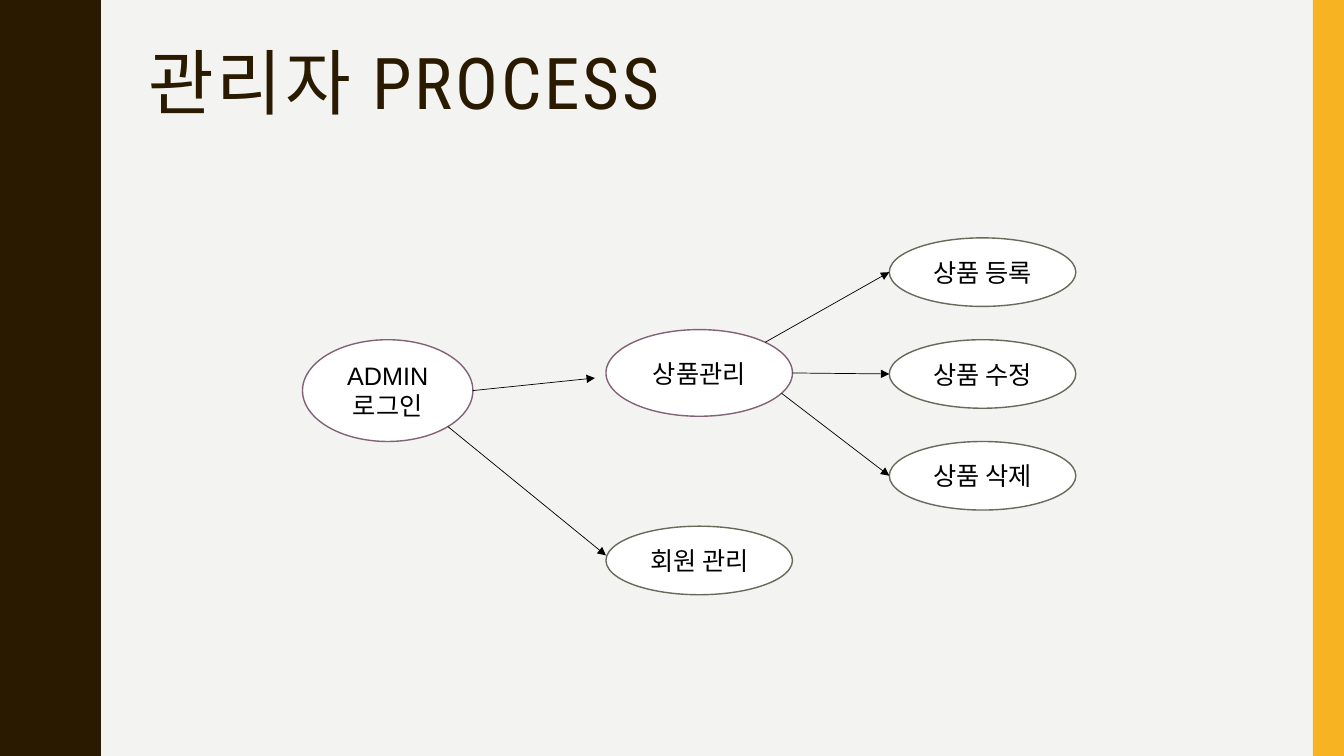
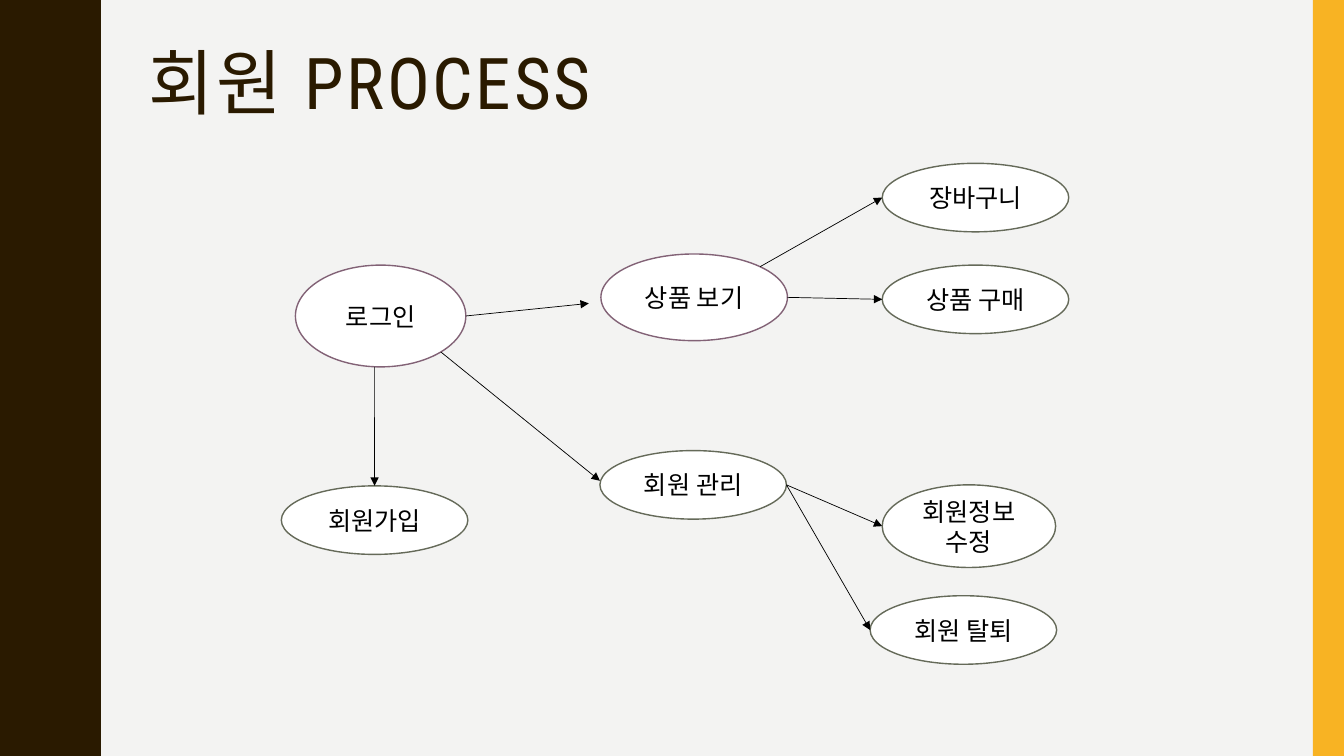
from math import cos, radians, sin

from lxml.etree import SubElement
from pptx import Presentation
from pptx.dml.color import RGBColor
from pptx.enum.shapes import MSO_CONNECTOR as Connector, MSO_SHAPE as Shape
from pptx.enum.text import MSO_ANCHOR as Anchor, PP_ALIGN as Align
from pptx.oxml.ns import qn
from pptx.util import Inches, Pt

WIDTH, HEIGHT = 13.33, 7.5
BROWN = RGBColor(0x2A, 0x1A, 0x00)
GOLD = RGBColor(0xF8, 0xB3, 0x23)
PAPER = RGBColor(0xF3, 0xF3, 0xF2)
WHITE = RGBColor(0xFF, 0xFF, 0xFF)
BLACK = RGBColor(0x00, 0x00, 0x00)
PLUM = RGBColor(0x82, 0x62, 0x76)
OLIVE = RGBColor(0x65, 0x6A, 0x59)
TITLE_FONT, BODY_FONT, KOREAN_FONT = "Roboto Condensed", "Arial", "Noto Sans CJK KR"

KINDS = {
    "start": (1.69, 1.01, PLUM, BODY_FONT),
    "hub": (1.85, 0.86, PLUM, KOREAN_FONT),
    "step": (1.85, 0.68, OLIVE, BODY_FONT),
    "tall": (1.72, 0.82, OLIVE, BODY_FONT),
}
RIGHT, LEFT, TOP = 0, 180, -90
UPPER_RIGHT, LOWER_RIGHT = -45, 45

SLIDES = [
    {
        "title": "관리자 PROCESS",
        "nodes": {
            "login": ("ADMIN\n로그인", "start", 3, 3.37),
            "add": ("상품 등록", "step", 8.82, 2.36),
            "edit": ("상품 수정", "step", 8.82, 3.37),
            "delete": ("상품 삭제", "step", 8.82, 4.38),
            "members": ("회원 관리", "step", 6.01, 5.22),
            "products": ("상품관리", "hub", 6.01, 3.27),
        },
        "links": [
            ("login", RIGHT, "products", LEFT, (-0.11, 0.05)),
            ("products", UPPER_RIGHT, "add", LEFT, (0, 0)),
            ("products", RIGHT, "edit", LEFT, (0, 0)),
            ("products", 28, "delete", LEFT, (0, 0)),
            ("login", LOWER_RIGHT, "members", LEFT, (0, -0.05)),
        ],
    },
    {
        "title": "회원 PROCESS",
        "nodes": {
            "login": ("로그인", "start", 2.93, 2.63),
            "cart": ("장바구니", "step", 8.75, 1.62),
            "buy": ("상품 구매", "step", 8.75, 2.63),
            "members": ("회원 관리", "step", 5.95, 4.47),
            "products": ("상품 보기", "hub", 5.96, 2.52),
            "profile": ("회원정보 수정", "tall", 8.75, 4.81),
            "leave": ("회원 탈퇴", "step", 8.63, 5.91),
            "join": ("회원가입", "step", 2.79, 4.82),
        },
        "links": [
            ("login", RIGHT, "products", LEFT, (-0.12, 0.06)),
            ("products", UPPER_RIGHT, "cart", LEFT, (0, 0)),
            ("products", RIGHT, "buy", LEFT, (0, 0)),
            ("login", LOWER_RIGHT, "members", LEFT, (0, -0.04)),
            ("members", RIGHT, "profile", LEFT, (0, 0)),
            ("members", RIGHT, "leave", LEFT, (0, 0)),
            ("login", 94, "join", TOP, (0, 0)),
        ],
    },
]

WAVE_COUNT = 5
WAVE_NEAR, WAVE_FAR = 0.78, 0.97
WAVE_HALF = HEIGHT / WAVE_COUNT / 2
WAVE_QUARTER = [(0.78, 0), (0.78, 0.07), (0.79, 0.14), (0.8, 0.2),
                (0.81, 0.25), (0.83, 0.29), (0.85, 0.33)]


def wave_points():
    crest = WAVE_QUARTER + [(WAVE_NEAR + WAVE_FAR - x, WAVE_HALF - y)
                            for x, y in reversed(WAVE_QUARTER)]
    wave = crest + [(x, 2 * WAVE_HALF - y) for x, y in reversed(crest)]
    return [(x, y + 2 * WAVE_HALF * turn)
            for turn in range(WAVE_COUNT) for x, y in wave]


def paint(shape, fill, line=None):
    shape.shadow.inherit = False
    shape.fill.solid()
    shape.fill.fore_color.rgb = fill
    if line is None:
        shape.line.fill.background()
    else:
        shape.line.color.rgb = line
        shape.line.width = Pt(1)


def write(shape, text, *, size, font, color, align, anchor, leading=None, spacing=None):
    frame = shape.text_frame
    frame.word_wrap = True
    frame.vertical_anchor = anchor
    for index, line in enumerate(text.split("\n")):
        para = frame.add_paragraph() if index else frame.paragraphs[0]
        para.alignment = align
        para.line_spacing = leading
        span = para.add_run()
        span.text = line
        span.font.size = Pt(size)
        span.font.name = font
        span.font.color.rgb = color
        props = span.font._element
        SubElement(props, qn("a:ea")).set("typeface", KOREAN_FONT)
        if spacing:
            props.set("spc", str(spacing * 100))


def decorate(layout, page):
    layout.background.fill.solid()
    layout.background.fill.fore_color.rgb = PAPER
    title = layout.placeholders[0]
    title.left, title.top, title.width, title.height = map(
        Inches, (1.37, 0.42, 11.13, 1.63))
    builder = page.shapes.build_freeform(0, 0, scale=Inches(1))
    builder.add_line_segments(wave_points() + [(0, HEIGHT)], close=True)
    wave = builder.convert_to_shape()
    paint(wave, BROWN)
    band = page.shapes.add_shape(Shape.RECTANGLE, Inches(13.02), 0,
                                 Inches(WIDTH - 13.02), Inches(HEIGHT))
    paint(band, GOLD)
    for index, part in enumerate((wave, band)):
        layout.shapes.element.insert(2 + index, part.element)


def add_node(page, text, kind, left, top):
    width, height, line, font = KINDS[kind]
    node = page.shapes.add_shape(Shape.OVAL, *map(Inches, (left, top, width, height)))
    paint(node, WHITE, line)
    write(node, text, size=18, font=font, color=BLACK,
          align=Align.CENTER, anchor=Anchor.MIDDLE)
    return node


def rim(node, angle, shift=(0, 0)):
    turn = radians(angle)
    return (int(node.left + node.width / 2 * (1 + cos(turn)) + Inches(shift[0])),
            int(node.top + node.height / 2 * (1 + sin(turn)) + Inches(shift[1])))


def add_arrow(page, begin, end):
    arrow = page.shapes.add_connector(Connector.STRAIGHT, *begin, *end)
    arrow.line.color.rgb = BLACK
    arrow.line.width = Pt(0.5)
    SubElement(arrow.line._get_or_add_ln(), qn("a:tailEnd")).set("type", "triangle")
    SubElement(arrow.element.spPr, qn("a:effectLst"))


def main():
    deck = Presentation()
    deck.slide_width, deck.slide_height = Inches(WIDTH), Inches(HEIGHT)
    layout = deck.slide_layouts[5]
    for index, content in enumerate(SLIDES):
        page = deck.slides.add_slide(layout)
        if index == 0:
            decorate(layout, page)
        write(page.shapes.title, content["title"], size=51, font=TITLE_FONT,
              color=BROWN, align=Align.LEFT, anchor=Anchor.TOP, leading=0.9, spacing=2)
        nodes = {name: add_node(page, *node) for name, node in content["nodes"].items()}
        for source, leaving, target, arriving, shift in content["links"]:
            add_arrow(page, rim(nodes[source], leaving),
                      rim(nodes[target], arriving, shift))
    deck.save("out.pptx")


if __name__ == "__main__":
    main()
